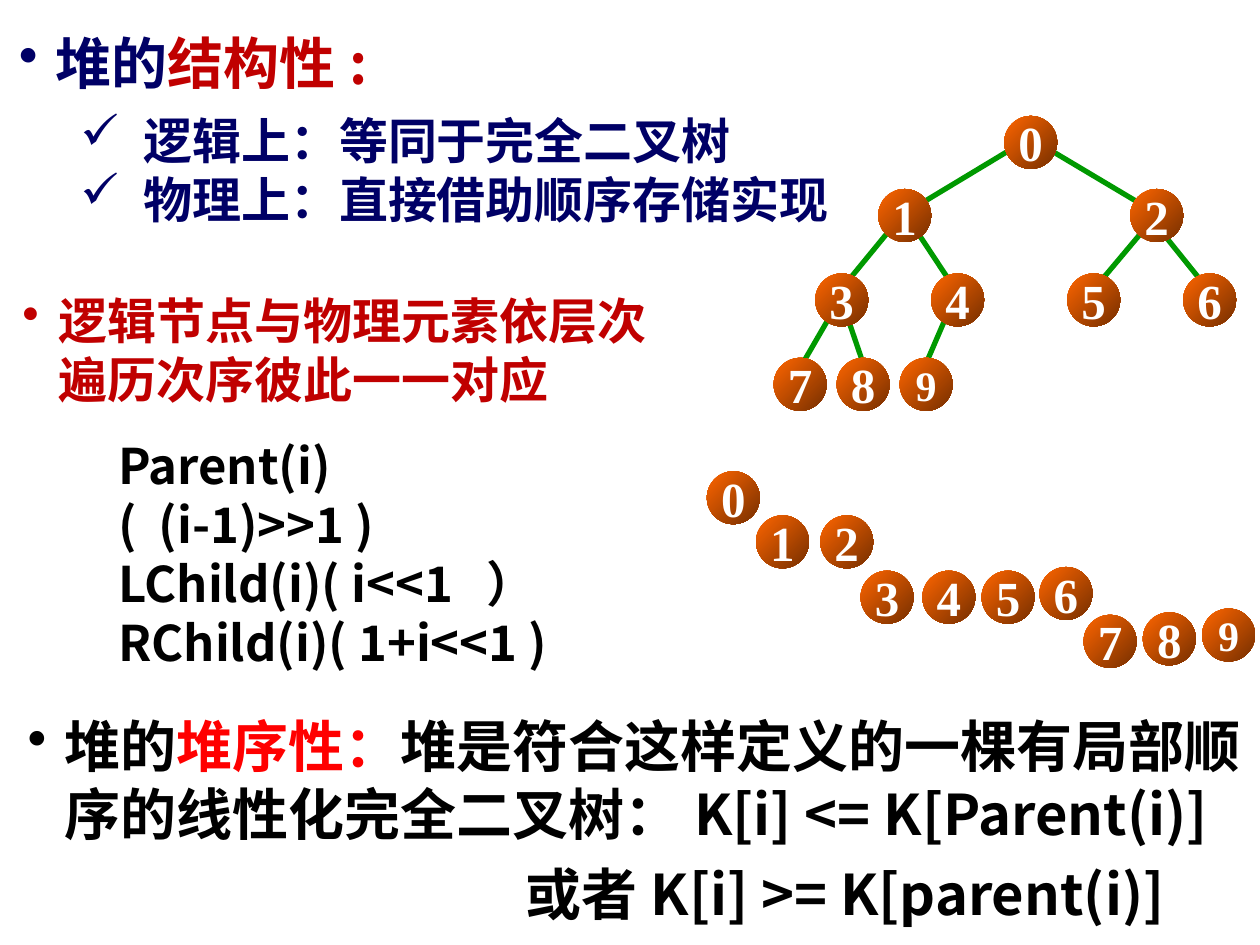
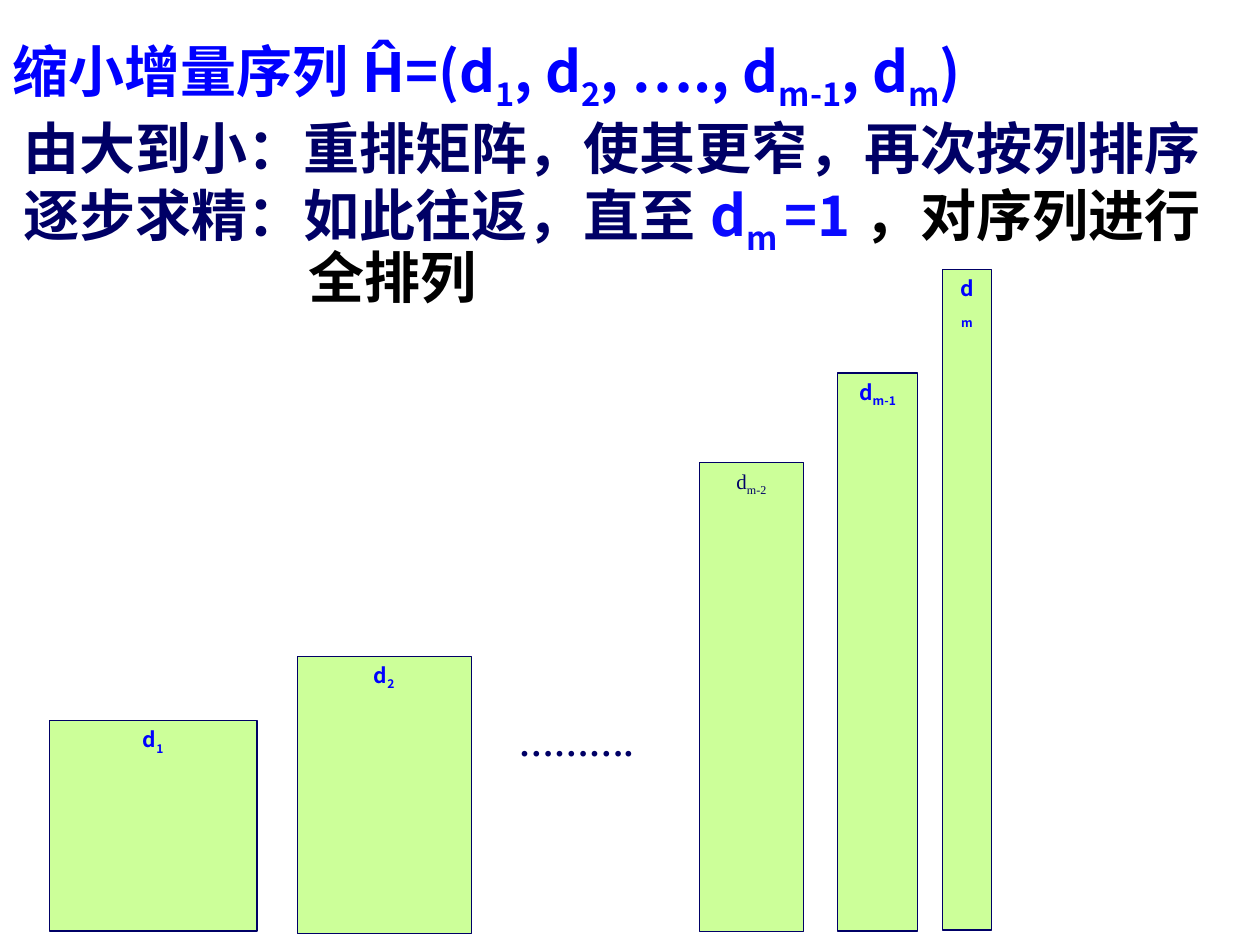
from dataclasses import dataclass

from lxml import etree
from pptx import Presentation
from pptx.dml.color import RGBColor
from pptx.enum.shapes import MSO_CONNECTOR, MSO_SHAPE
from pptx.enum.text import MSO_ANCHOR, MSO_AUTO_SIZE, PP_ALIGN
from pptx.oxml.ns import qn
from pptx.util import Inches, Pt

STRAIGHT = MSO_CONNECTOR.STRAIGHT
ELLIPSE = MSO_SHAPE.OVAL
PROCESS = MSO_SHAPE.FLOWCHART_PROCESS
TOP, MIDDLE = MSO_ANCHOR.TOP, MSO_ANCHOR.MIDDLE
LEFT, CENTER = PP_ALIGN.LEFT, PP_ALIGN.CENTER
NO_FIT = MSO_AUTO_SIZE.NONE
TITLE_ONLY = 5


@dataclass(frozen=True)
class Theme:
    sans: str = "Noto Sans CJK SC"
    serif: str = "Times New Roman"
    navy: str = "000066"
    crimson: str = "C00000"
    red: str = "FF0000"
    black: str = "000000"
    white: str = "FFFFFF"
    blue: str = "0000FF"
    bright_blue: str = "0A0AFF"
    edge: str = "009900"
    node_light: str = "FF6600"
    node_dark: str = "762F00"
    bar: str = "CCFF99"
    heading: int = 32
    body: int = 28
    small_node: int = 24
    dots: int = 20
    label: int = 12


THEME = Theme()
NODE_SIZE = 0.42


@dataclass(frozen=True)
class Span:
    text: str
    color: str
    subscript: bool = False


@dataclass(frozen=True)
class Line:
    spans: tuple
    indent: float = 0
    first: float = 0
    bullet: str = ""
    before: float = 0
    spacing: float = 1
    align: int = LEFT


def rgb(color):
    return RGBColor.from_string(color)


def format_span(run, span, size, font, bold):
    run.text = span.text
    run.font.size = Pt(size)
    run.font.bold = bold
    run.font.color.rgb = rgb(span.color)
    run.font.name = font
    properties = run._r.get_or_add_rPr()
    etree.SubElement(properties, qn("a:ea")).set("typeface", font)
    if span.subscript:
        properties.set("baseline", "-25000")


def write_lines(frame, lines, size, font=THEME.sans, bold=True):
    for index, line in enumerate(lines):
        para = frame.add_paragraph() if index else frame.paragraphs[0]
        properties = para._p.get_or_add_pPr()
        properties.set("marL", str(Inches(line.indent)))
        properties.set("indent", str(Inches(line.first)))
        if line.bullet:
            etree.SubElement(properties, qn("a:buChar")).set("char", line.bullet)
        para.alignment = line.align
        para.line_spacing = line.spacing
        para.space_before = Pt(line.before)
        for span in line.spans:
            format_span(para.add_run(), span, size, font, bold)


def add_text(page, box, lines, size, font=THEME.sans):
    frame = page.shapes.add_textbox(*map(Inches, box)).text_frame
    frame.word_wrap = True
    write_lines(frame, lines, size, font)


def set_title(page, box, line):
    title = page.shapes.title
    title.left, title.top, title.width, title.height = map(Inches, box)
    frame = title.text_frame
    frame.auto_size = NO_FIT
    frame.vertical_anchor = TOP
    frame.word_wrap = True
    write_lines(frame, [line], THEME.heading)


def add_node(page, left, top, number):
    node = page.shapes.add_shape(
        ELLIPSE, Inches(left), Inches(top), Inches(NODE_SIZE), Inches(NODE_SIZE))
    node.shadow.inherit = False
    node.line.fill.background()
    node.fill.gradient()
    node.fill.gradient_angle = 315
    for stop, color in zip(node.fill.gradient_stops, (THEME.node_light, THEME.node_dark)):
        stop.color.rgb = rgb(color)
    frame = node.text_frame
    frame.margin_left = frame.margin_right = frame.margin_top = frame.margin_bottom = 0
    frame.word_wrap = False
    frame.vertical_anchor = MIDDLE
    size = THEME.small_node if number == 9 else THEME.body
    write_lines(frame, [Line((Span(str(number), THEME.white),), align=CENTER)], size, THEME.serif)


def add_nodes(page, left, top, places):
    for number, (across, down) in enumerate(places):
        add_node(page, left + across, top + down, number)


def add_edge(page, start_x, start_y, end_x, end_y):
    edge = page.shapes.add_connector(
        STRAIGHT, Inches(start_x), Inches(start_y), Inches(end_x), Inches(end_y))
    edge.line.color.rgb = rgb(THEME.edge)
    edge.line.width = Pt(3)
    etree.SubElement(edge._element.spPr, qn("a:effectLst"))


def add_tree(page, left, top):
    levels = (
        (0, (1.83,)),
        (0.58, (0.83, 2.83)),
        (1.25, (0.33, 1.25, 2.33, 3.25)),
        (1.92, (0, 0.5, 1)),
    )
    edges = (
        (1.91, 0.25, 1.08, 0.75), (2.16, 0.25, 3, 0.75),
        (0.91, 0.92, 0.5, 1.42), (1.08, 0.83, 1.41, 1.33),
        (3, 0.83, 2.58, 1.33), (3.08, 0.92, 3.41, 1.33),
        (0.5, 1.5, 0.21, 2), (0.58, 1.58, 0.75, 2.08),
        (1.41, 1.5, 1.16, 2.08),
    )
    for start_x, start_y, end_x, end_y in edges:
        add_edge(page, left + start_x, top + start_y, left + end_x, top + end_y)
    add_nodes(page, left, top, [(across, down) for down, row in levels for across in row])


def add_sequence(page, left, top):
    places = (
        (0, 0), (0.39, 0.35), (0.9, 0.35),
        (1.22, 0.79), (1.71, 0.79), (2.18, 0.79), (2.64, 0.76),
        (2.99, 1.14), (3.46, 1.12), (3.93, 1.09),
    )
    add_nodes(page, left, top, places)


def add_bar(page, box, subscript, color=THEME.blue, font=THEME.sans, bold=True):
    bar = page.shapes.add_shape(PROCESS, *map(Inches, box))
    bar.shadow.inherit = False
    bar.fill.solid()
    bar.fill.fore_color.rgb = rgb(THEME.bar)
    bar.line.color.rgb = rgb(THEME.navy)
    bar.line.width = Pt(0.75)
    bar.text_frame.vertical_anchor = TOP
    bar.text_frame.word_wrap = True
    spans = (Span("d", color), Span(subscript, color, True))
    write_lines(bar.text_frame, [Line(spans, align=CENTER)], THEME.label, font, bold)


def add_bars(page, left, top):
    bars = (
        ("1", 0, 3.58, 1.65, 1.67),
        ("2", 1.97, 3.07, 1.38, 2.2),
        ("m-2", 5.16, 1.53, 0.83, 3.72),
        ("m-1", 6.26, 0.82, 0.63, 4.43),
        ("m", 7.09, 0, 0.39, 5.24),
    )
    for subscript, across, down, width, height in bars:
        style = (THEME.navy, THEME.serif, False) if subscript == "m-2" else ()
        add_bar(page, (left + across, top + down, width, height), subscript, *style)
    add_text(page, (left + 3.63, top + 3.54, 1.26, 0.44),
             [Line((Span("……….", THEME.navy),))], THEME.dots, THEME.serif)


def build_heap_page(deck):
    page = deck.slides.add_slide(deck.slide_layouts[TITLE_ONLY])
    hanging = {"indent": 0.29, "first": -0.29, "bullet": "•"}
    set_title(page, (0.05, 0.18, 3.01, 0.64), Line(
        (Span("堆的", THEME.navy), Span("结构性:", THEME.crimson)), **hanging))
    add_tree(page, 6.14, 0.92)
    add_sequence(page, 5.61, 3.74)
    views = ("逻辑上：等同于完全二叉树", "物理上：直接借助顺序存储实现")
    add_text(page, (0.54, 0.83, 6.46, 1.04),
             [Line((Span(view, THEME.navy),), 0.5, -0.5, "✓") for view in views], THEME.body)
    add_text(page, (0.08, 2.26, 5.43, 1.04), [Line(
        (Span("逻辑节点与物理元素依层次遍历次序彼此一一对应", THEME.crimson),), **hanging)],
        THEME.body)
    formulas = ("Parent(i)(  (i-1)>>1 )", "LChild(i)( i<<1  ）", "RChild(i)( 1+i<<1 )")
    add_text(page, (0.84, 3.41, 3.86, 1.5),
             [Line((Span(formula, THEME.black),)) for formula in formulas], THEME.body)
    order = (
        Span("堆的", THEME.black),
        Span("堆序性：", THEME.red),
        Span("堆是符合这样定义的一棵有局部顺序的线性化完全二叉树：K[i] <= K[Parent(i)]",
             THEME.black),
    )
    alternative = (Span("或者K[i] >= K[parent(i)]", THEME.black),)
    add_text(page, (0.12, 5.6, 9.88, 1.85),
             [Line(order, **hanging), Line(alternative, indent=3.95, before=7.5)],
             THEME.heading)


def build_increment_page(deck):
    page = deck.slides.add_slide(deck.slide_layouts[TITLE_ONLY])
    pieces = ("缩小增量序列Ĥ=(d", "1", ", d", "2", ", …., d", "m-1", ", d", "m", ")")
    heading = tuple(Span(piece, THEME.blue, index % 2 == 1)
                    for index, piece in enumerate(pieces))
    set_title(page, (0, 0.25, 9.8, 0.66), Line(heading, spacing=0.9))
    narrowing = (Span("由大到小：重排矩阵，使其更窄，再次按列排序", THEME.navy),)
    refining = (
        Span("逐步求精：如此往返，直至", THEME.navy),
        Span("d", THEME.bright_blue),
        Span("m ", THEME.bright_blue, True),
        Span("=1", THEME.bright_blue),
        Span("，对序列进行全排列", THEME.black),
    )
    add_text(page, (0, 0.91, 9.8, 1.55),
             [Line(spans, 2.35, -2.26, spacing=0.9) for spans in (narrowing, refining)],
             THEME.heading)
    add_bars(page, 0.39, 2.14)


def main():
    deck = Presentation()
    deck.slide_width, deck.slide_height = Inches(10), Inches(7.5)
    build_heap_page(deck)
    build_increment_page(deck)
    deck.save("out.pptx")


if __name__ == "__main__":
    main()
